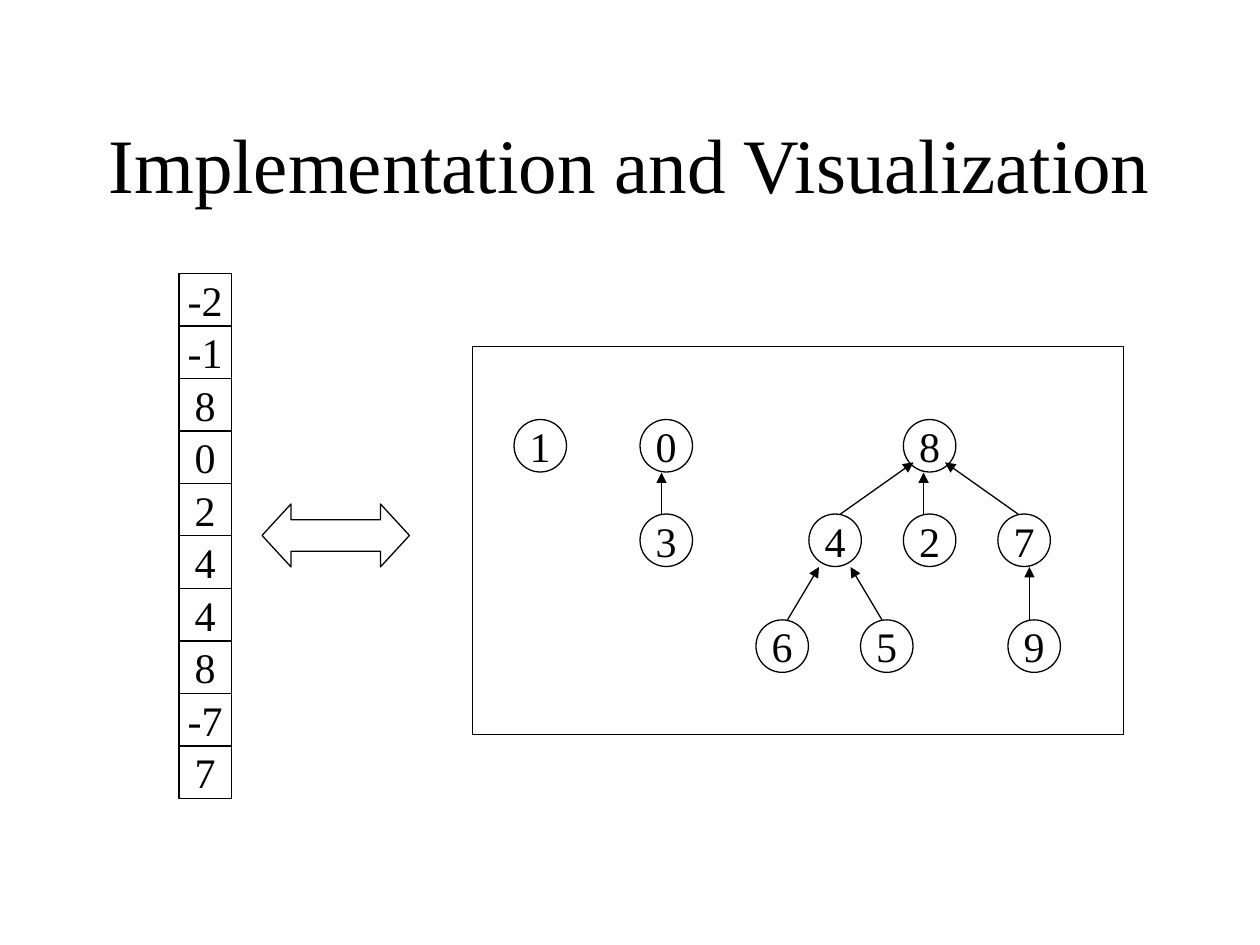
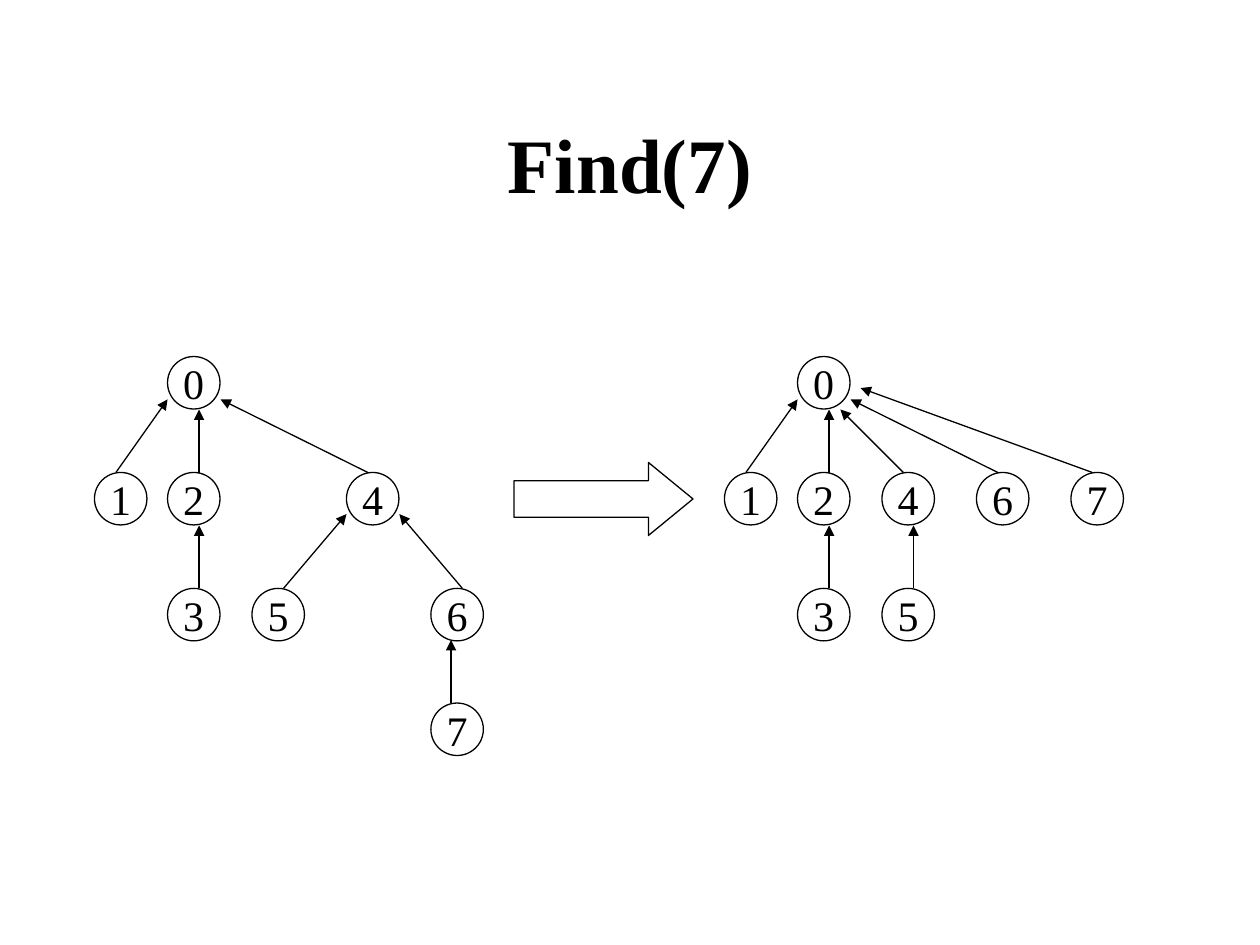
from pptx import Presentation
from pptx.dml.color import RGBColor
from pptx.enum.shapes import MSO_CONNECTOR as Link, MSO_SHAPE as Shape
from pptx.enum.text import MSO_ANCHOR as Anchor, MSO_AUTO_SIZE as Fit, PP_ALIGN as Align
from pptx.oxml.ns import qn
from pptx.util import Inches, Pt
from lxml.etree import SubElement

FONT = "Times New Roman"
INK = "000000"
SIZE = 5 / 12  # side of a node or an array cell


def paint(color, code):
    color.rgb = RGBColor.from_string(code)


def write(frame, text, size, bold=False):
    frame.text = text
    frame.vertical_anchor = Anchor.MIDDLE
    para = frame.paragraphs[0]
    para.alignment = Align.CENTER
    font = para.runs[0].font
    font.name, font.size, font.bold = FONT, Pt(size), bold
    paint(font.color, INK)


def add_page(deck, title, bold=False):
    page = deck.slides.add_slide(deck.slide_layouts[5])
    head = page.shapes.title
    head.left, head.top = Inches(0.75), Inches(0.67)
    head.width, head.height = Inches(8.5), Inches(1.25)
    head.text_frame.auto_size = Fit.NONE
    write(head.text_frame, title, 44, bold)
    return page


def add_box(page, kind, x, y, w=SIZE, h=SIZE, text=""):
    """Outlined shape without a fill."""
    box = page.shapes.add_shape(kind, Inches(x), Inches(y), Inches(w), Inches(h))
    box.shadow.inherit = False
    box.fill.background()
    paint(box.line.color, INK)
    box.line.width = Pt(0.75)
    if text:
        box.text_frame.word_wrap = False
        write(box.text_frame, text, 24)
    return box


def add_arrow(page, x1, y1, x2, y2):
    line = page.shapes.add_connector(
        Link.STRAIGHT, Inches(x1), Inches(y1), Inches(x2), Inches(y2))
    paint(line.line.color, INK)
    line.line.width = Pt(0.75)
    props = line._element.spPr
    SubElement(props.find(qn("a:ln")), qn("a:tailEnd"), type="triangle")
    SubElement(props, qn("a:effectLst"))


def add_tree(page, nodes, arrows, shift=0):
    """Nodes are (text, left, top); arrows run from child to parent."""
    for text, x, y in nodes:
        add_box(page, Shape.OVAL, x + shift, y, text=text)
    for x1, y1, x2, y2 in arrows:
        add_arrow(page, x1 + shift, y1, x2 + shift, y2)


def add_array(page, values, x, y):
    for i, value in enumerate(values):
        add_box(page, Shape.RECTANGLE, x, y + i * SIZE, text=value)


def show_forest(deck):
    page = add_page(deck, "Implementation and Visualization")
    add_array(page, ["-2", "-1", "8", "0", "2", "4", "4", "8", "-7", "7"], 1.42, 2.17)

    # Three trees, one row per level
    top, mid, low = 3.33, 4.08, 4.92
    add_tree(page, [("1", 4.08, top)], [])
    add_tree(page, [("0", 5.08, top), ("3", 5.08, mid)],
             [(5.25, mid, 5.25, 3.75)])
    add_tree(page,
             [("8", 7.17, top), ("4", 6.42, mid), ("2", 7.17, mid), ("7", 7.92, mid),
              ("6", 6, low), ("5", 6.83, low), ("9", 8, low)],
             [(6.67, mid, 7.25, 3.67), (7.33, mid, 7.33, 3.75), (8.08, mid, 7.5, 3.67),
              (6.25, low, 6.5, 4.5), (7, low, 6.75, 4.5), (8.17, low, 8.17, 4.5)])

    # Link between the array and the framed forest
    swap = add_box(page, Shape.LEFT_RIGHT_ARROW, 2.08, 4, 1.17, 0.5)
    swap.adjustments[1] = 0.46
    add_box(page, Shape.RECTANGLE, 3.75, 2.75, 5.17, 3.08)


def show_find(deck):
    page = add_page(deck, "Find(7)", bold=True)
    top, mid, low, base = 2.83, 3.75, 4.67, 5.58

    # Part that stays the same before and after
    nodes = [("0", 1.33, top), ("1", 0.75, mid), ("2", 1.33, mid), ("3", 1.33, low)]
    arrows = [(0.92, mid, 1.33, 3.17), (1.58, mid, 1.58, 3.25), (1.58, low, 1.58, 4.17)]
    for shift in (0, 5):
        add_tree(page, nodes, arrows, shift)

    # Before: 7 lies deep below 4 and 6
    add_tree(page,
             [("4", 2.75, mid), ("5", 2, low), ("6", 3.42, low), ("7", 3.42, base)],
             [(2.92, mid, 1.75, 3.17), (2.25, low, 2.75, 4.08),
              (3.67, low, 3.17, 4.08), (3.58, base, 3.58, 5.08)])

    # After: 4, 6 and 7 point straight to the root
    add_tree(page,
             [("4", 7, mid), ("6", 7.75, mid), ("7", 8.5, mid), ("5", 7, low)],
             [(7.17, mid, 6.67, 3.25), (7.92, mid, 6.75, 3.17),
              (8.67, mid, 6.83, 3.08), (7.25, low, 7.25, 4.17)])

    step = add_box(page, Shape.RIGHT_ARROW, 4.08, 3.67, 1.42, 0.58)
    step.adjustments[1] = 0.61


def main():
    deck = Presentation()
    deck.slide_width, deck.slide_height = Inches(10), Inches(7.5)
    show_forest(deck)
    show_find(deck)
    deck.save("out.pptx")


if __name__ == "__main__":
    main()
